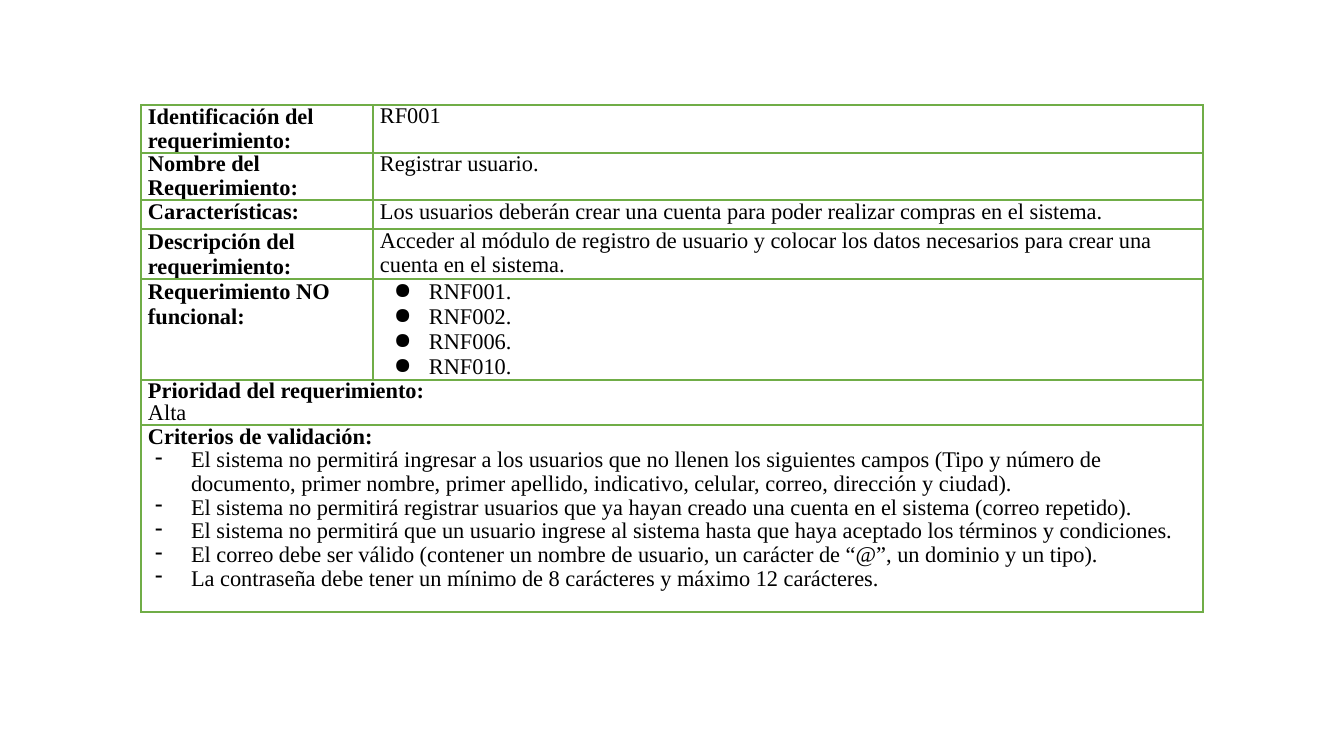
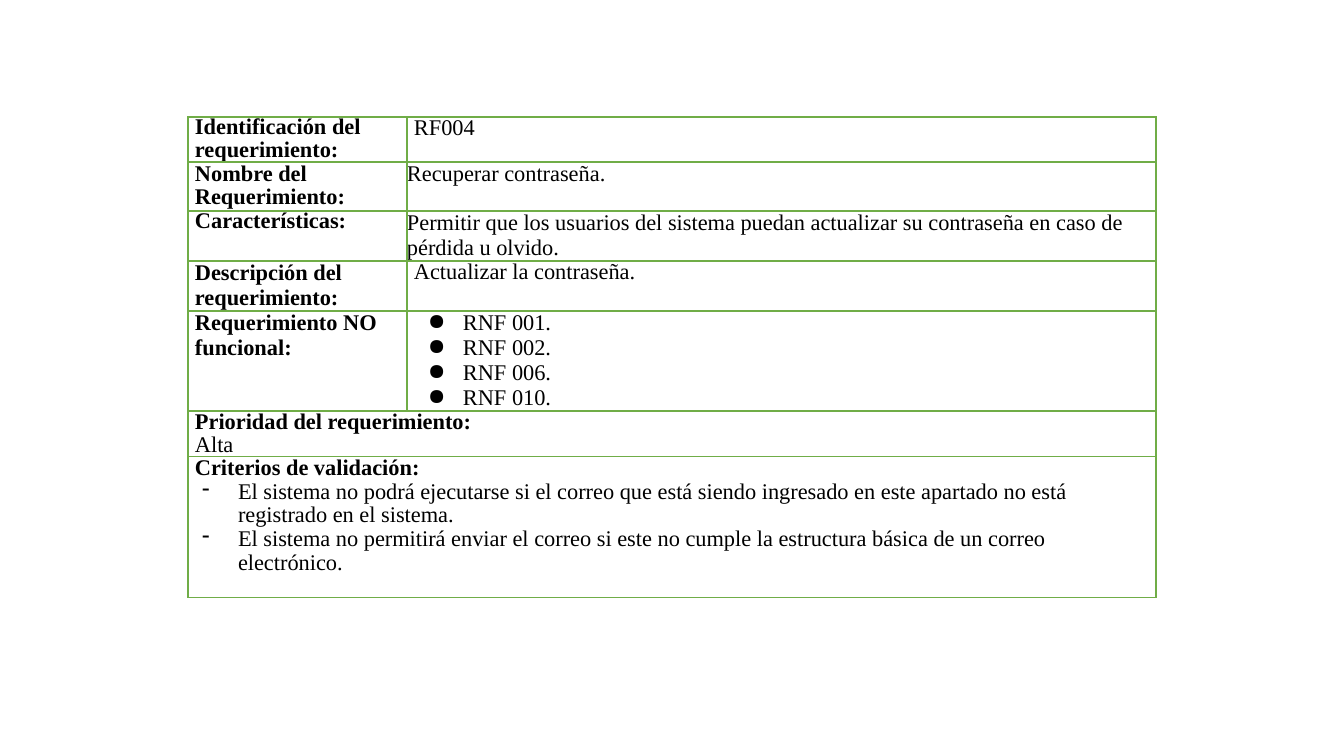
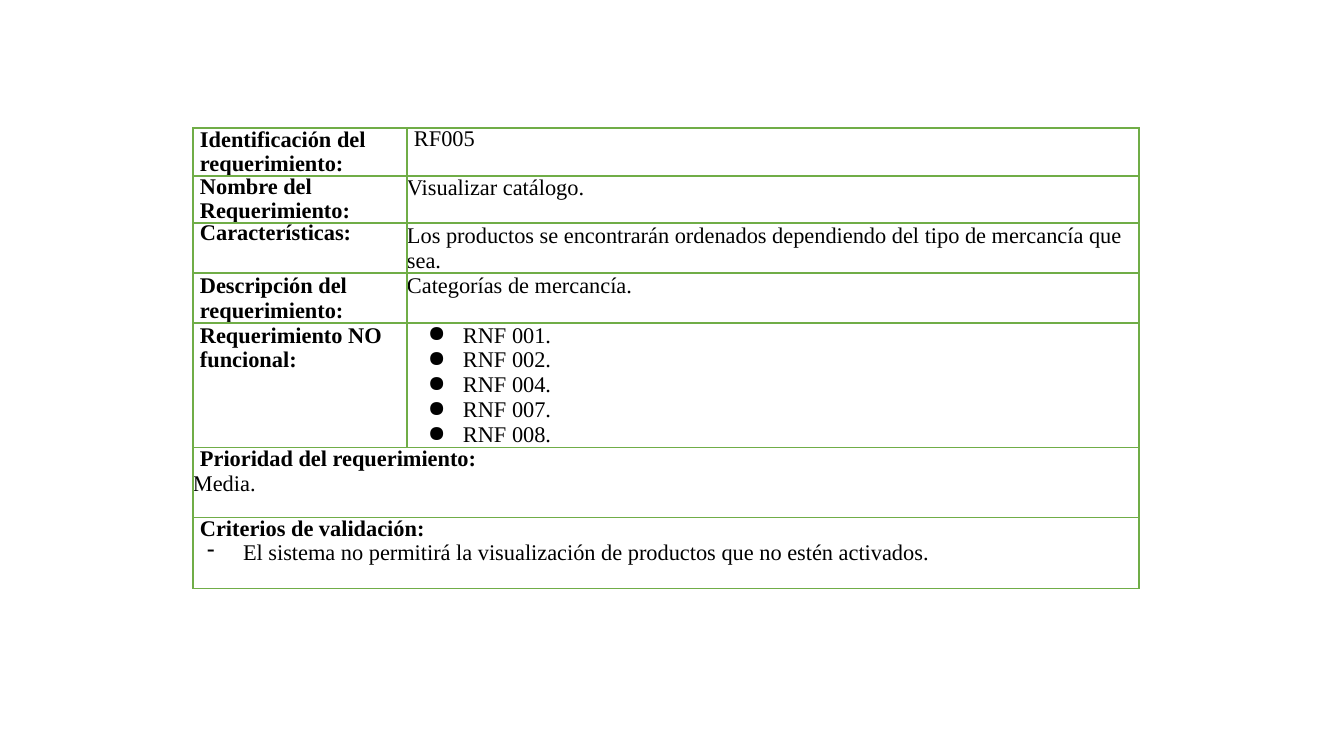
from dataclasses import dataclass

from lxml import etree
from pptx import Presentation
from pptx.dml.color import RGBColor
from pptx.oxml import ns
from pptx.util import Emu, Pt

# Shared look
PX = 9071  # EMU in one px, at 100.8 px to the inch
PAGE_SIZE = (1344, 756)
FONT = "Times New Roman"
TEXT_SIZE = Pt(16)
BORDER_WIDTH = Pt(1.5)
BLACK = RGBColor(0x00, 0x00, 0x00)
GREEN = RGBColor(0x70, 0xAD, 0x47)

# Paragraph styles: left margin px, first-line indent px, bullet, bold
STYLES = {
    "label": (7, 0, None, True),
    "value": (7, 0, None, False),
    "flush": (0, 0, None, False),
    "dot": (56, -35, "●", False),
    "dash": (50, -36, "-", False),
}

FIELDS = (
    "Identificación del requerimiento:",
    "Nombre del Requerimiento:",
    "Características:",
    "Descripción del requerimiento:",
    "Requerimiento NO funcional:",
)
PRIORITY = "Prioridad del requerimiento:"
CRITERIA = "Criterios de validación:"


@dataclass
class Line:
    text: str
    style: str = "value"
    spacing: float = 0.95


@dataclass
class Requirement:
    corner: tuple
    columns: tuple
    rows: tuple
    label_spacings: tuple
    values: list
    functional: list
    priority: Line
    criteria: list
    dot_spacing: float = 1.0


REQUIREMENTS = [
    Requirement(
        corner=(141, 105), columns=(232, 830),
        rows=(48, 47, 29, 50, 100, 45, 187),
        label_spacings=(0.96, 0.95, 0.95, 1.0, 1.0),
        values=[
            Line("RF001"),
            Line("Registrar usuario."),
            Line("Los usuarios deberán crear una cuenta para poder realizar "
                 "compras en el sistema.", spacing=0.96),
            Line("Acceder al módulo de registro de usuario y colocar los datos "
                 "necesarios para crear una cuenta en el sistema.", spacing=0.96),
        ],
        functional=["RNF001.", "RNF002.", "RNF006.", "RNF010."],
        dot_spacing=1.01,
        priority=Line("Alta", spacing=0.88),
        criteria=[
            "El sistema no permitirá ingresar a los usuarios que no llenen los "
            "siguientes campos (Tipo y número de documento, primer nombre, primer "
            "apellido, indicativo, celular, correo, dirección y ciudad).",
            "El sistema no permitirá registrar usuarios que ya hayan creado una "
            "cuenta en el sistema (correo repetido).",
            "El sistema no permitirá que un usuario ingrese al sistema hasta que "
            "haya aceptado los términos y condiciones.",
            "El correo debe ser válido (contener un nombre de usuario, un carácter "
            "de “@”, un dominio y un tipo).",
            "La contraseña debe tener un mínimo de 8 carácteres y máximo 12 "
            "carácteres.",
        ],
    ),
    Requirement(
        corner=(188, 117), columns=(219, 749),
        rows=(45, 49, 50, 49, 100, 45, 141),
        label_spacings=(0.9, 0.96, 0.86, 1.0, 1.0),
        values=[
            Line("RF004"),
            Line("Recuperar contraseña.", "flush", 1.0),
            Line("Permitir que los usuarios del sistema puedan actualizar su "
                 "contraseña en caso de pérdida u olvido.", "flush", 1.0),
            Line("Actualizar la contraseña."),
        ],
        functional=["RNF 001.", "RNF 002.", "RNF 006.", "RNF 010."],
        priority=Line("Alta", spacing=0.89),
        criteria=[
            "El sistema no podrá ejecutarse si el correo que está siendo ingresado "
            "en este apartado no está registrado en el sistema.",
            "El sistema no permitirá enviar el correo si este no cumple la "
            "estructura básica de un correo electrónico.",
        ],
    ),
    Requirement(
        corner=(193, 128), columns=(214, 732),
        rows=(47, 47, 50, 50, 124, 70, 71),
        label_spacings=(0.96, 0.95, 0.88, 1.0, 1.0),
        values=[
            Line("RF005"),
            Line("Visualizar catálogo.", "flush", 1.0),
            Line("Los productos se encontrarán ordenados dependiendo del tipo de "
                 "mercancía que sea.", "flush", 1.0),
            Line("Categorías de mercancía.", "flush", 1.0),
        ],
        functional=["RNF 001.", "RNF 002.", "RNF 004.", "RNF 007.", "RNF 008."],
        priority=Line("Media.", "flush", 1.0),
        criteria=[
            "El sistema no permitirá la visualización de productos que no estén "
            "activados.",
        ],
    ),
]


def px(length):
    return Emu(length * PX)


def add_child(parent, tag, **attributes):
    return etree.SubElement(parent, ns.qn(tag), attributes)


def style_cell(cell):
    """Zero margins, green border on each side, no fill."""
    cell.margin_left = cell.margin_right = 0
    cell.margin_top = cell.margin_bottom = 0
    properties = cell._tc.get_or_add_tcPr()
    for side in ("a:lnL", "a:lnR", "a:lnT", "a:lnB"):
        border = add_child(properties, side, w=str(BORDER_WIDTH))
        add_child(add_child(border, "a:solidFill"), "a:srgbClr", val=str(GREEN))
    cell.fill.background()


def style_paragraph(para, line):
    margin, indent, bullet, bold = STYLES[line.style]
    para.line_spacing = line.spacing
    properties = para._p.get_or_add_pPr()
    properties.set("marL", str(px(margin)))
    properties.set("indent", str(px(indent)))
    if bullet:
        add_child(add_child(properties, "a:buClr"), "a:srgbClr", val=str(BLACK))
        add_child(properties, "a:buChar", char=bullet)
    for span in para.runs:
        span.font.name = FONT
        span.font.size = TEXT_SIZE
        span.font.bold = bold
        span.font.color.rgb = BLACK


def write_cell(cell, lines):
    cell.text_frame.text = "\n".join(line.text for line in lines)
    for para, line in zip(cell.text_frame.paragraphs, lines):
        style_paragraph(para, line)


def add_requirement_table(page, item):
    left, top = item.corner
    frame = page.shapes.add_table(
        len(item.rows), len(item.columns), px(left), px(top),
        px(sum(item.columns)), px(sum(item.rows)))
    table = frame.table
    table.first_row = table.horz_banding = False
    for column, width in zip(table.columns, item.columns):
        column.width = px(width)
    for row, height in zip(table.rows, item.rows):
        row.height = px(height)
    for cell in table.iter_cells():
        style_cell(cell)

    # Label and value rows
    dots = [Line(name, "dot", item.dot_spacing) for name in item.functional]
    contents = [[value] for value in item.values] + [dots]
    fields = zip(FIELDS, item.label_spacings, contents)
    for index, (field, spacing, lines) in enumerate(fields):
        write_cell(table.cell(index, 0), [Line(field, "label", spacing)])
        write_cell(table.cell(index, 1), lines)

    # Full-width rows
    dashes = [Line(rule, "dash") for rule in item.criteria]
    wide_rows = [(PRIORITY, [item.priority]), (CRITERIA, dashes)]
    for index, (heading, lines) in enumerate(wide_rows, len(FIELDS)):
        cell = table.cell(index, 0)
        cell.merge(table.cell(index, 1))
        write_cell(cell, [Line(heading, "label")] + lines)


def main():
    deck = Presentation()
    deck.slide_width, deck.slide_height = map(px, PAGE_SIZE)
    for item in REQUIREMENTS:
        page = deck.slides.add_slide(deck.slide_layouts[6])
        add_requirement_table(page, item)
    deck.save("out.pptx")


if __name__ == "__main__":
    main()
